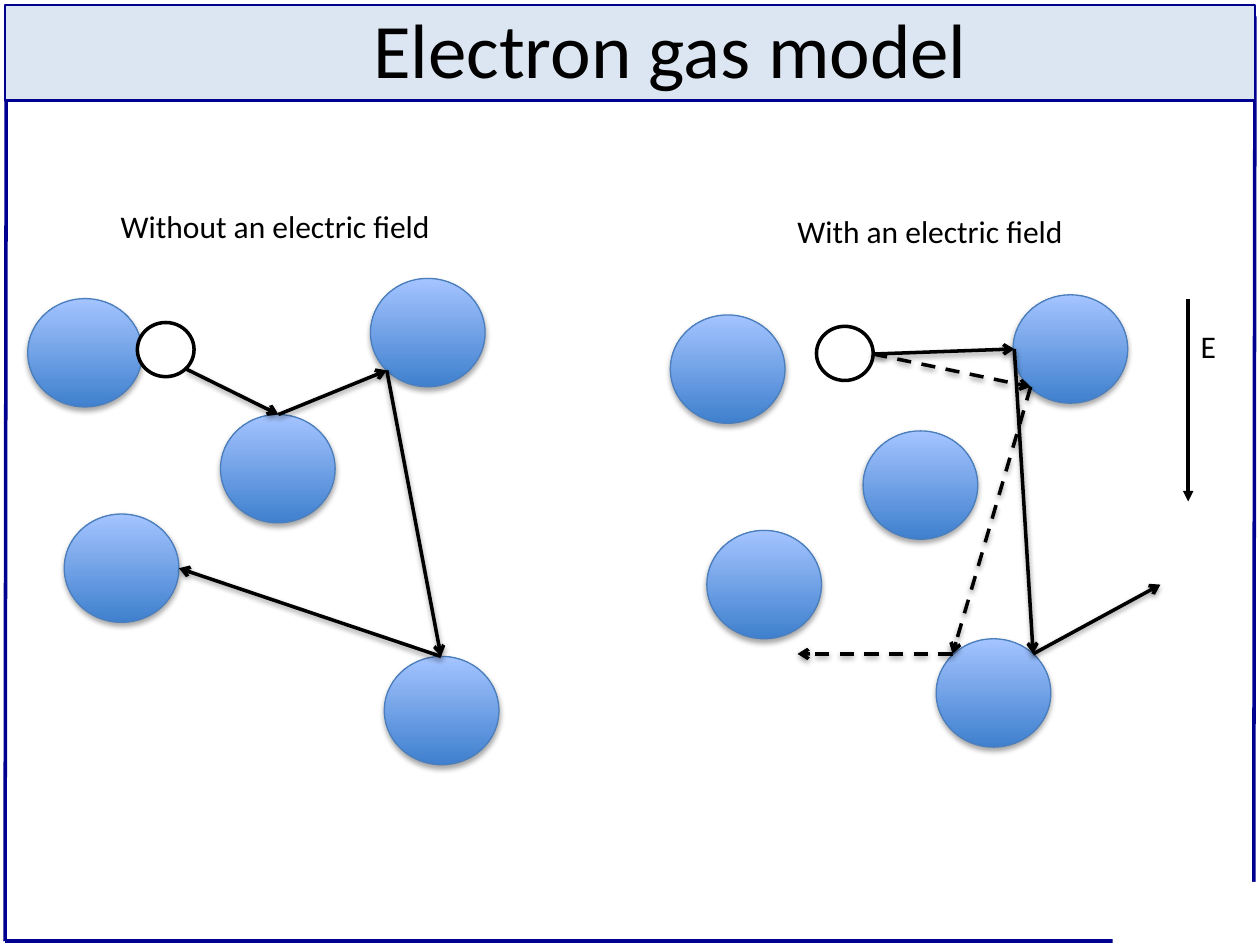
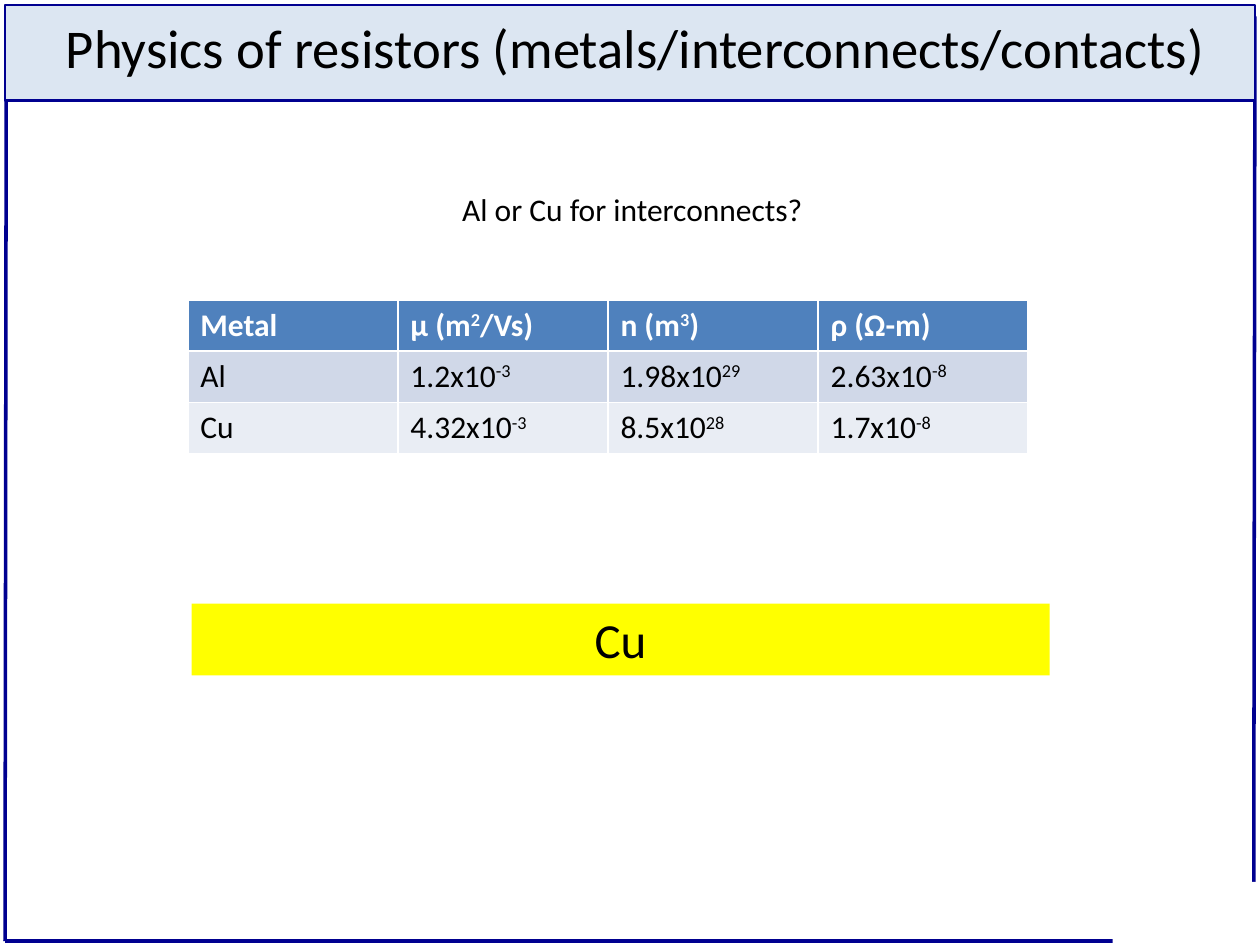
from lxml.etree import SubElement
from pptx import Presentation
from pptx.dml.color import RGBColor
from pptx.enum.dml import MSO_LINE
from pptx.enum.shapes import MSO_CONNECTOR, MSO_SHAPE
from pptx.enum.text import MSO_ANCHOR, MSO_AUTO_SIZE, PP_ALIGN
from pptx.oxml import parse_xml
from pptx.oxml.ns import nsdecls, qn
from pptx.util import Inches, Pt

COLORS = {
    "navy": "000090", "band": "DCE6F2", "white": "FFFFFF", "black": "000000",
    "ion_dark": "3F80CE", "ion_light": "A4C4FF", "ion_edge": "4B7EBC",
    "header": "4F81BD", "row_odd": "D0D8E8", "row_even": "E9EDF4", "answer": "FFFF00",
}
RGB = {name: RGBColor.from_string(value) for name, value in COLORS.items()}
FONT = "Calibri"
SHADOW = (
    f'<a:effectLst {nsdecls("a")}><a:outerShdw blurRad="40000" dist="%d" dir="5400000" '
    'rotWithShape="0"><a:srgbClr val="000000"><a:alpha val="%d"/></a:srgbClr>'
    '</a:outerShdw></a:effectLst>'
)


def write(tf, text, size=18, color="black", bold=False, align=PP_ALIGN.LEFT,
          anchor=MSO_ANCHOR.TOP, wrap=True, grow=False):
    """Fill a text frame; parts between ^ marks are superscript."""
    tf.word_wrap = wrap
    tf.vertical_anchor = anchor
    tf.auto_size = MSO_AUTO_SIZE.SHAPE_TO_FIT_TEXT if grow else MSO_AUTO_SIZE.NONE
    p = tf.paragraphs[0]
    p.alignment = align
    for i, part in enumerate(text.split("^")):
        if not part:
            continue
        r = p.add_run()
        r.text = part
        r.font.name, r.font.size, r.font.bold = FONT, Pt(size), bold
        r.font.color.rgb = RGB[color]
        if i % 2:
            r.font._element.set("baseline", "30000")


def add_line(s, start, end, color="black", head=None, dashed=False, shadow=False):
    c = s.shapes.add_connector(MSO_CONNECTOR.STRAIGHT, *map(Inches, start + end))
    c.line.color.rgb = RGB[color]
    c.line.width = Pt(2)
    if dashed:
        c.line.dash_style = MSO_LINE.DASH
    spPr = c._element.spPr
    if head:
        SubElement(spPr.find(qn("a:ln")), qn("a:tailEnd"), type=head)
    if shadow:
        spPr.append(parse_xml(SHADOW % (20000, 38000)))
    else:
        SubElement(spPr, qn("a:effectLst"))


prs = Presentation()
prs.slide_width, prs.slide_height = Inches(10), Inches(7.5)

# Frame and title on both slides
titles = [
    ("Electron gas model", 44, (-0.43, -0.04, 11.5, 1.45), MSO_ANCHOR.TOP),
    ("Physics of resistors (metals/interconnects/contacts)", 31.2,
     (0.08, -0.17, 9.92, 1.08), MSO_ANCHOR.MIDDLE),
]
for title, size, box, anchor in titles:
    s = prs.slides.add_slide(prs.slide_layouts[6])
    add_line(s, (9.96, 0.13), (9.95, 7.45), "navy")
    add_line(s, (0.05, 0.15), (0.04, 7.47), "navy")
    add_line(s, (0.04, 7.47), (9.95, 7.47), "navy")
    for rect, fill, edge in [((0.04, 0.04, 9.92, 0.76), "band", "navy"),
                             ((8.83, 7, 1.17, 0.5), "white", None)]:
        sp = s.shapes.add_shape(MSO_SHAPE.RECTANGLE, *map(Inches, rect))
        sp.shadow.inherit = False
        sp.fill.solid()
        sp.fill.fore_color.rgb = RGB[fill]
        if edge:
            sp.line.color.rgb = RGB[edge]
            sp.line.width = Pt(1.5)
        else:
            sp.line.fill.background()
    tb = s.shapes.add_textbox(*map(Inches, box))
    write(tb.text_frame, title, size=size, align=PP_ALIGN.CENTER, anchor=anchor)

# Slide 1: ions, electrons and their paths
s = prs.slides[0]
lattice = [(0.22, 2.37), (1.75, 3.29), (2.94, 2.21), (0.51, 4.08)]
shift_x, shift_y = 5.1, 0.13
ions = lattice + [(3.05, 5.21)]
ions += [(x + shift_x, y + shift_y) for x, y in lattice] + [(7.43, 5.07)]
for x, y in ions:
    ion = s.shapes.add_shape(MSO_SHAPE.OVAL, Inches(x), Inches(y), Inches(0.91), Inches(0.86))
    ion.fill.gradient()
    ion.fill.gradient_angle = 90
    for stop, name in zip(ion.fill.gradient_stops, ("ion_dark", "ion_light")):
        stop.color.rgb = RGB[name]
    ion.line.color.rgb = RGB["ion_edge"]
    ion.line.width = Pt(0.75)
    ion._element.spPr.append(parse_xml(SHADOW % (23000, 35000)))

for x, y in [(1.09, 2.56), (6.48, 2.59)]:
    electron = s.shapes.add_shape(MSO_SHAPE.OVAL, Inches(x), Inches(y), Inches(0.45), Inches(0.43))
    electron.shadow.inherit = False
    electron.fill.solid()
    electron.fill.fore_color.rgb = RGB["white"]
    electron.line.color.rgb = RGB["black"]
    electron.line.width = Pt(2)

paths = [
    ([(1.48, 2.93), (2.21, 3.29), (3.07, 2.94), (3.5, 5.21), (1.42, 4.51)], False),
    ([(6.93, 2.81), (8.05, 2.77), (8.2, 5.19), (9.21, 4.64)], False),
    ([(6.93, 2.81), (8.18, 3.07), (7.56, 5.19), (6.33, 5.19)], True),
]
for points, dashed in paths:
    for start, end in zip(points, points[1:]):
        add_line(s, start, end, head="arrow", dashed=dashed, shadow=True)
add_line(s, (9.43, 2.37), (9.43, 3.98), head="triangle")

# Labels of both slides
labels = [
    (0, "E", (9.43, 2.55, 0.33, 0.4)),
    (0, "Without an electric field", (0.86, 1.59, 2.69, 0.4)),
    (0, "With an electric field", (6.23, 1.63, 2.34, 0.4)),
    (1, "Al or Cu for interconnects?", (3.57, 1.46, 2.94, 0.4)),
]
for index, text, box in labels:
    tb = prs.slides[index].shapes.add_textbox(*map(Inches, box))
    write(tb.text_frame, text, wrap=False, grow=True)

# Slide 2: metal properties and the answer
s = prs.slides[1]
metals = [
    ("Metal", "μ (m^2^/Vs)", "n (m^3^)", "ρ (Ω-m)"),
    ("Al", "1.2x10^-3", "1.98x10^29", "2.63x10^-8"),
    ("Cu", "4.32x10^-3", "8.5x10^28", "1.7x10^-8"),
]
table = s.shapes.add_table(3, 4, Inches(1.49), Inches(2.38), Inches(6.67), Inches(1.22)).table
for i, (row, fill) in enumerate(zip(metals, ("header", "row_odd", "row_even"))):
    for j, text in enumerate(row):
        cell = table.cell(i, j)
        cell.fill.solid()
        cell.fill.fore_color.rgb = RGB[fill]
        write(cell.text_frame, text, color="black" if i else "white", bold=i == 0)

answer = s.shapes.add_shape(MSO_SHAPE.RECTANGLE, *map(Inches, (1.52, 4.79, 6.81, 0.57)))
answer.shadow.inherit = False
answer.fill.solid()
answer.fill.fore_color.rgb = RGB["answer"]
answer.line.fill.background()
write(answer.text_frame, "Cu", size=28, align=PP_ALIGN.CENTER, grow=True)

prs.save("out.pptx")
